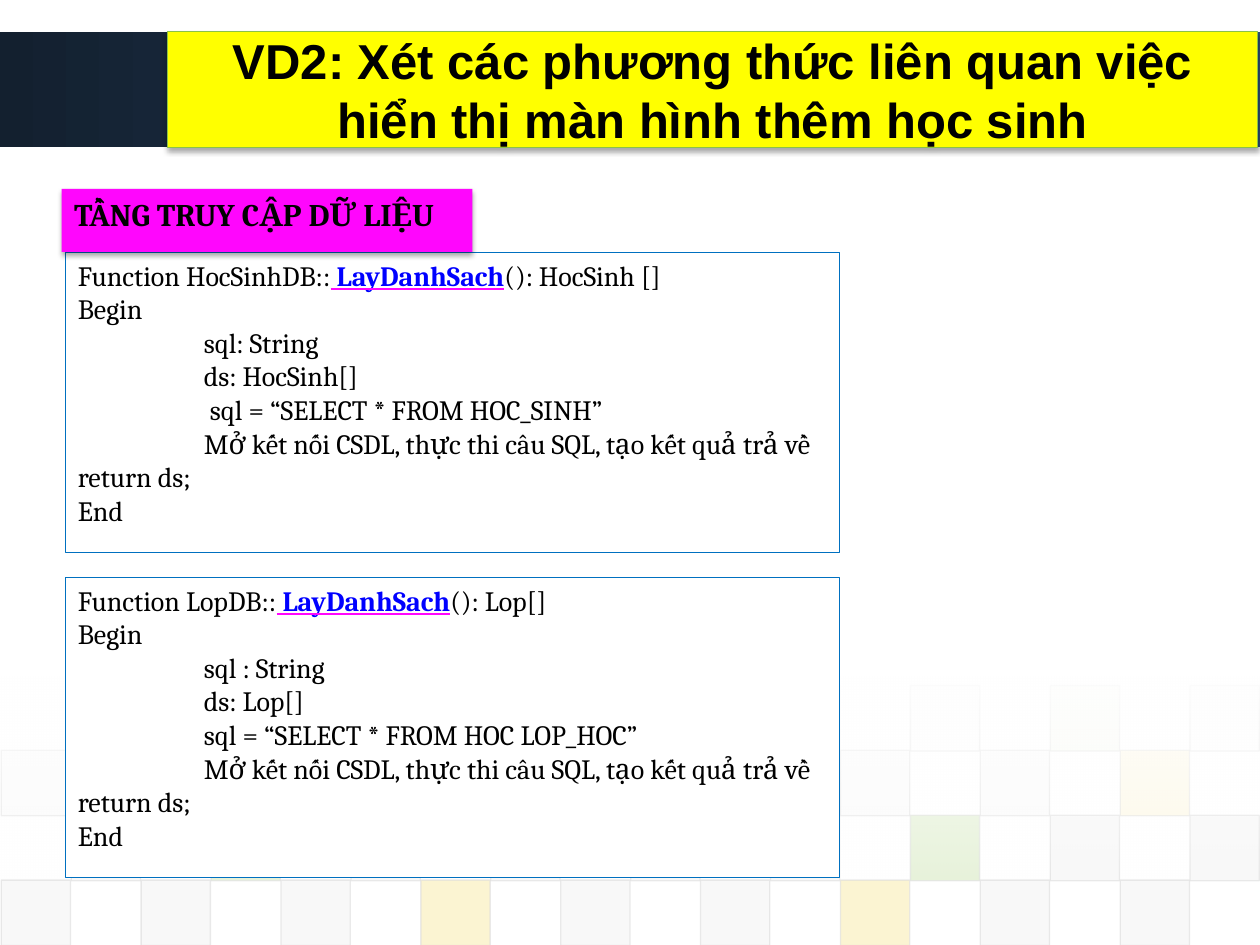
import dataclasses
import typing

import lxml.etree
import pptx
import pptx.dml.color
import pptx.enum.shapes
import pptx.enum.text
import pptx.oxml.ns
import pptx.util

Inches = pptx.util.Inches
qn = pptx.oxml.ns.qn


@dataclasses.dataclass(frozen=True)
class Theme:
    black: str = "000000"
    white: str = "FFFFFF"
    header_start: str = "13202F"
    header_end: str = "2E507A"
    title_fill: str = "FFFF00"
    title_line: str = "8AC246"
    label_fill: str = "FF06FD"
    method: str = "0000FF"
    code_line: str = "0070C0"
    tile_line: str = "DDDDDD"
    title_font: str = "Arial"
    code_font: str = "Cambria"
    title_size: int = 28
    label_size: int = 18
    code_size: int = 16


THEME = Theme()
TILE_COLOURS = {"G": "DDDDDD", "L": "EAEAEA", "V": "8AC246", "Y": "EFC821"}


class Box(typing.NamedTuple):
    left: float
    top: float
    width: float
    height: float


class TileRow(typing.NamedTuple):
    """Tiles on every second column; a dot leaves a place empty."""
    first_column: int
    colours: str
    opacity: int


class CodeBlock(typing.NamedTuple):
    top: float
    class_name: str
    result: str
    body: tuple[str, ...]


TILE_ROWS = (
    TileRow(11, "YLVL", 5),
    TileRow(0, "G.....GGY", 10),
    TileRow(1, "GVGGGGVGG", 20),
    TileRow(0, "GGGYGGYGG", 20),
)
LAST_LINES = (
    "\tMở kết nối CSDL, thực thi câu SQL, tạo kết quả trả về \treturn ds;",
    "End",
)
CODE_BLOCKS = (
    CodeBlock(2, "HocSinhDB", "HocSinh []", (
        "Begin", "\tsql: String", "\tds: HocSinh[]",
        "\t sql = “SELECT * FROM HOC_SINH”", *LAST_LINES)),
    CodeBlock(4.58, "LopDB", "Lop[]", (
        "Begin", "\tsql : String", "\tds: Lop[]",
        "\tsql = “SELECT * FROM HOC LOP_HOC”", *LAST_LINES)),
)


def rgb(colour: str) -> pptx.dml.color.RGBColor:
    return pptx.dml.color.RGBColor.from_string(colour)


def set_opacity(fill_element, percents: typing.Sequence[int]) -> None:
    """Give each colour inside the element its opacity, in order."""
    for colour, percent in zip(fill_element.iter(qn("a:srgbClr")), percents):
        lxml.etree.SubElement(colour, qn("a:alpha"), val=str(percent * 1000))


def add_rectangle(slide, box: Box, fill: str | None = None,
                  line: str | None = None, line_width: float = 0.25):
    shape = slide.shapes.add_shape(
        pptx.enum.shapes.MSO_SHAPE.RECTANGLE, *map(Inches, box))
    shape.shadow.inherit = False
    if fill:
        shape.fill.solid()
        shape.fill.fore_color.rgb = rgb(fill)
    if line:
        shape.line.color.rgb = rgb(line)
        shape.line.width = pptx.util.Pt(line_width)
    else:
        shape.line.fill.background()
    shape.text_frame.word_wrap = True
    shape.text_frame.vertical_anchor = pptx.enum.text.MSO_ANCHOR.TOP
    return shape


def add_gradient(slide, box: Box, colours: tuple[str, str], angle: int,
                 opacities: tuple[int, int] = (100, 100)) -> None:
    shape = add_rectangle(slide, box)
    shape.fill.gradient()
    shape.fill.gradient_angle = angle
    for stop, colour in zip(shape.fill.gradient_stops, colours):
        stop.color.rgb = rgb(colour)
    set_opacity(shape.element.spPr.find(qn("a:gradFill")), opacities)


def add_shadow(shape) -> None:
    effects = shape.element.spPr.find(qn("a:effectLst"))
    shadow = lxml.etree.SubElement(
        effects, qn("a:outerShdw"), blurRad=str(pptx.util.Pt(3.1)),
        dist=str(pptx.util.Pt(1.8)), dir="5400000", rotWithShape="0")
    lxml.etree.SubElement(shadow, qn("a:srgbClr"), val=THEME.black)
    set_opacity(shadow, [35])


def add_run(paragraph, text: str, font: str, size: int,
            colour: str = THEME.black, **extra):
    run = paragraph.add_run()
    run.text = text
    run.font.color.rgb = rgb(colour)
    values = {"name": font, "size": pptx.util.Pt(size), **extra}
    for name, value in values.items():
        setattr(run.font, name, value)
    return run


def colour_underline(run, colour: str) -> None:
    underline = lxml.etree.Element(qn("a:uFill"))
    solid = lxml.etree.SubElement(underline, qn("a:solidFill"))
    lxml.etree.SubElement(solid, qn("a:srgbClr"), val=colour)
    run.font._element.find(qn("a:latin")).addprevious(underline)


def add_tab_stop(paragraph, position: float) -> None:
    properties = paragraph._p.get_or_add_pPr()
    tabs = lxml.etree.SubElement(properties, qn("a:tabLst"))
    lxml.etree.SubElement(tabs, qn("a:tab"), pos=str(Inches(position)),
                          algn="l")


def add_tiles(slide) -> None:
    column_pitch, row_pitch = 0.555, 0.515
    for row, tiles in enumerate(TILE_ROWS):
        for index, key in enumerate(tiles.colours):
            if key == ".":
                continue
            column = tiles.first_column + 2 * index
            box = Box(0.01 + column * column_pitch, 5.44 + row * row_pitch,
                      0.55, 0.52)
            tile = add_rectangle(slide, box, TILE_COLOURS[key],
                                 THEME.tile_line, 0.75)
            properties = tile.element.spPr
            set_opacity(properties.find(qn("a:solidFill")), [tiles.opacity])
            set_opacity(properties.find(qn("a:ln")), [60])


def add_heading(slide, box: Box, text: str, fill: str, font: str, size: int,
                line: str | None = None):
    shape = add_rectangle(slide, box, fill, line)
    add_shadow(shape)
    paragraph = shape.text_frame.paragraphs[0]
    paragraph.alignment = pptx.enum.text.PP_ALIGN.LEFT
    add_run(paragraph, text, font, size, bold=True)
    return shape


def add_code(slide, block: CodeBlock) -> None:
    shape = add_rectangle(slide, Box(0.52, block.top, 6.14, 2.38),
                          THEME.white, THEME.code_line)
    frame = shape.text_frame
    style = (THEME.code_font, THEME.code_size)
    signature = frame.paragraphs[0]
    add_run(signature, f"Function {block.class_name}::", *style)
    method = add_run(signature, " LayDanhSach", *style, THEME.method,
                     bold=True, underline=True)
    colour_underline(method, THEME.label_fill)
    add_run(signature, f"(): {block.result}", *style)
    for text in block.body:
        paragraph = frame.add_paragraph()
        add_tab_stop(paragraph, 1)
        add_run(paragraph, text, *style)
    for paragraph in frame.paragraphs:
        paragraph.alignment = pptx.enum.text.PP_ALIGN.LEFT


def main() -> None:
    presentation = pptx.Presentation()
    presentation.slide_width = Inches(10)
    presentation.slide_height = Inches(7.5)
    slide = presentation.slides.add_slide(presentation.slide_layouts[6])

    add_gradient(slide, Box(0, 0.25, 10, 0.92),
                 (THEME.header_start, THEME.header_end), 0)
    add_tiles(slide)
    add_gradient(slide, Box(0, 5.37, 10, 1.62),
                 (THEME.white, THEME.white), 270, (90, 0))

    for block in CODE_BLOCKS:
        add_code(slide, block)
    add_heading(slide, Box(0.49, 1.5, 3.26, 0.5), "TẦNG TRUY CẬP DỮ LIỆU",
                THEME.label_fill, THEME.code_font, THEME.label_size)
    title = add_heading(
        slide, Box(1.33, 0.25, 8.65, 0.92),
        "VD2: Xét các phương thức liên quan việc hiển thị màn hình thêm học sinh",
        THEME.title_fill, THEME.title_font, THEME.title_size, THEME.title_line)
    title.text_frame.vertical_anchor = pptx.enum.text.MSO_ANCHOR.MIDDLE
    title.text_frame.paragraphs[0].alignment = pptx.enum.text.PP_ALIGN.CENTER

    presentation.save("out.pptx")


if __name__ == "__main__":
    main()
